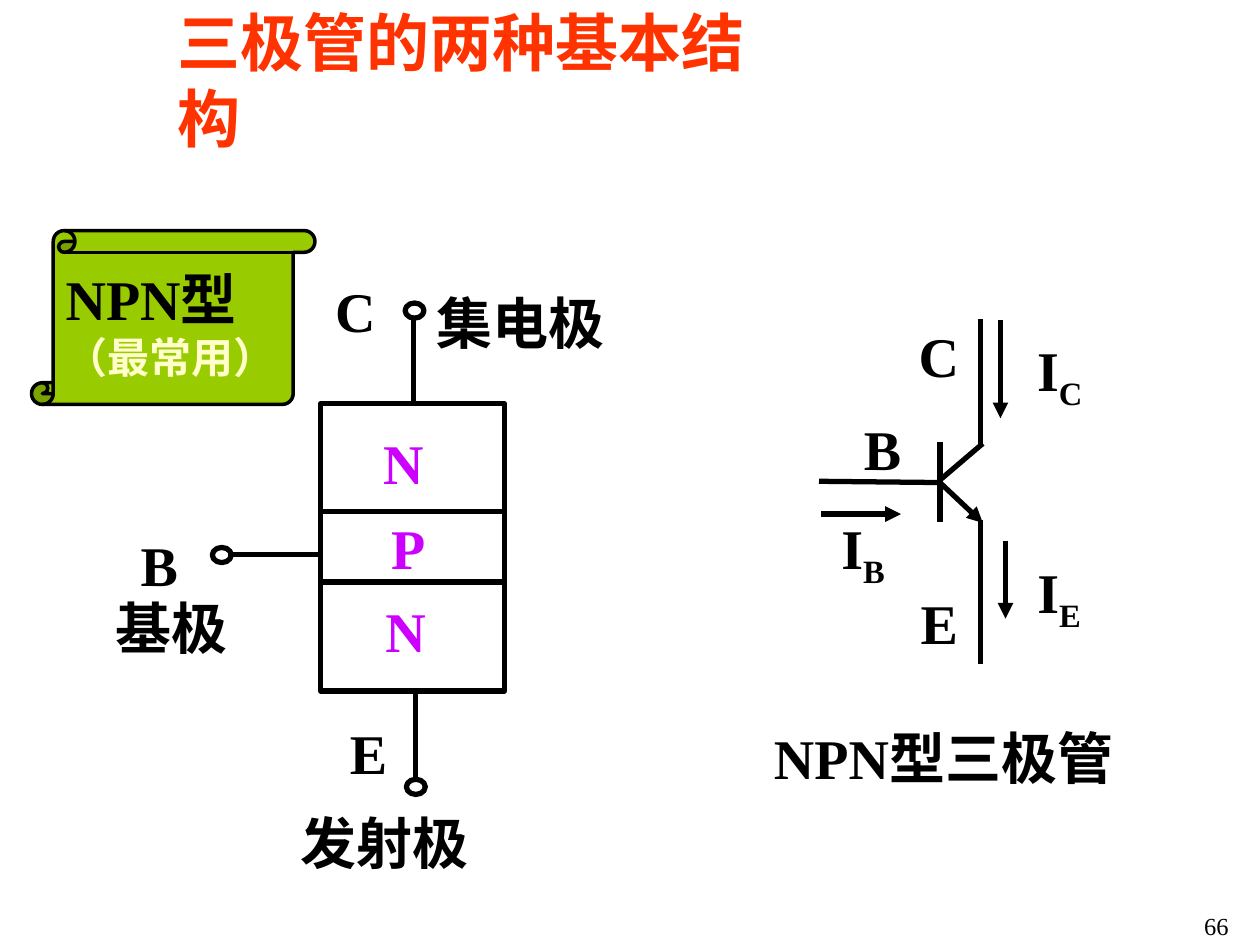
from pptx import Presentation
from pptx.dml.color import RGBColor
from pptx.enum.lang import MSO_LANGUAGE_ID
from pptx.enum.shapes import MSO_CONNECTOR, MSO_SHAPE
from pptx.enum.text import MSO_ANCHOR, MSO_AUTO_SIZE, PP_ALIGN
from pptx.oxml.ns import qn
from pptx.util import Inches, Pt
from lxml.etree import SubElement

COLORS = {
    "title": "FF3300",
    "ink": "000000",
    "region": "CC00FF",
    "scroll": "99CC00",
    "note": "FFFFCC",
}
FONT = "Times New Roman"
COLUMNS, ROWS = 100, 75


class TransistorSlide:
    def __init__(self, prs):
        self.unit_x = prs.slide_width / COLUMNS
        self.unit_y = prs.slide_height / ROWS
        self.s = prs.slides.add_slide(prs.slide_layouts[5])

    def x(self, columns):
        return round(columns * self.unit_x)

    def y(self, rows):
        return round(rows * self.unit_y)

    def box(self, left, top, width, height):
        return self.x(left), self.y(top), self.x(width), self.y(height)

    def color(self, name):
        return RGBColor.from_string(COLORS[name])

    def format_run(self, r, size, color, bold=True):
        r.font.name = FONT
        r.font.size = Pt(size)
        r.font.bold = bold
        r.font.color.rgb = self.color(color)
        r.font.language_id = MSO_LANGUAGE_ID.SIMPLIFIED_CHINESE

    def format_frame(self, tf, align, wrap=False):
        tf.word_wrap = wrap
        tf.auto_size = MSO_AUTO_SIZE.NONE
        tf.vertical_anchor = MSO_ANCHOR.MIDDLE
        tf.paragraphs[0].alignment = align

    def title(self, text, *place):
        sp = self.s.shapes.title
        sp.left, sp.top, sp.width, sp.height = self.box(*place)
        sp.text_frame.text = text
        self.format_frame(sp.text_frame, PP_ALIGN.LEFT)
        self.format_run(sp.text_frame.paragraphs[0].runs[0], 36, "title")

    def label(self, text, left, top, width, height=6.4, color="ink",
              size=32, bold=True, subscript=""):
        sp = self.s.shapes.add_textbox(*self.box(left, top, width, height))
        tf = sp.text_frame
        tf.text = text
        self.format_frame(tf, PP_ALIGN.CENTER)
        p = tf.paragraphs[0]
        if subscript:
            p.add_run().text = subscript
            p.runs[1]._r.get_or_add_rPr().set("baseline", "-25000")
        for r in p.runs:
            self.format_run(r, size, color, bold)

    def shape(self, kind, left, top, width, height, fill=None, weight=3):
        sp = self.s.shapes.add_shape(kind, *self.box(left, top, width, height))
        sp.shadow.inherit = False
        if fill:
            sp.fill.solid()
            sp.fill.fore_color.rgb = self.color(fill)
        else:
            sp.fill.background()
        sp.line.color.rgb = self.color("ink")
        sp.line.width = Pt(weight)
        return sp

    def terminal(self, center_x, center_y):
        width, height = 1.5, 1.2
        self.shape(MSO_SHAPE.OVAL, center_x - width / 2,
                   center_y - height / 2, width, height)

    def scroll(self, name, note, *place):
        sp = self.shape(MSO_SHAPE.VERTICAL_SCROLL, *place, fill="scroll", weight=2)
        tf = sp.text_frame
        tf.text = name
        self.format_frame(tf, PP_ALIGN.LEFT, wrap=True)
        p = tf.paragraphs[0]
        p.add_run().text = note
        self.format_run(p.runs[0], 32, "ink")
        self.format_run(p.runs[1], 24, "note")

    def wire(self, x1, y1, x2, y2, arrow=False):
        line = self.s.shapes.add_connector(
            MSO_CONNECTOR.STRAIGHT, self.x(x1), self.y(y1), self.x(x2), self.y(y2))
        line.line.color.rgb = self.color("ink")
        line.line.width = Pt(3)
        if arrow:
            SubElement(line.line._get_or_add_ln(), qn("a:tailEnd"), type="triangle")
        SubElement(line._element.spPr, qn("a:effectLst"))


def draw_structure(slide):
    edges = [32.05, 40.6, 46.2, 54.85]
    for top, bottom in zip(edges, edges[1:]):
        slide.shape(MSO_SHAPE.RECTANGLE, 25.45, top, 14.6, bottom - top)
    for wire in [(33, 61.9, 33, 55.1), (32.8, 32.1, 32.8, 25.3),
                 (25.6, 44, 18.1, 44)]:
        slide.wire(*wire)
    for center in [(33, 62.45), (32.9, 24.65), (17.6, 44.05)]:
        slide.terminal(*center)
    for text, left, top in [("N", 29.4, 33.5), ("P", 29.8, 40.2), ("N", 29.6, 46.8)]:
        slide.label(text, left, top, 5.2, color="region")
    for text, left, top, width in [
        ("B", 10.2, 41.6, 4.9), ("E", 26.8, 56.5, 4.9), ("C", 25.6, 21.4, 5.2),
        ("基极", 8.2, 46.6, 10.9), ("发射极", 22.9, 63.6, 15.3),
        ("集电极", 33.7, 22.4, 15.3),
    ]:
        slide.label(text, left, top, width)
    slide.scroll("NPN型", "（最常用）", 2.5, 18.3, 22.5, 13.8)


def draw_symbol(slide):
    for wire in [(65, 38.2, 74.8, 38.3), (74.6, 35.1, 74.6, 41.4),
                 (74.6, 38.1, 78, 35.2), (77.8, 25.3, 77.8, 35.4),
                 (77.8, 41.3, 77.8, 52.7)]:
        slide.wire(*wire)
    for arrow in [(74.6, 38.3, 78, 41.5), (65.2, 40.8, 71.5, 40.8),
                  (79.8, 42.9, 79.8, 49.1), (79.4, 25.4, 79.4, 33.2)]:
        slide.wire(*arrow, arrow=True)
    for text, left, top, width in [
        ("B", 67.6, 32.4, 4.9), ("E", 72.1, 46.2, 4.9), ("C", 71.9, 25, 5.2),
        ("NPN型三极管", 59.9, 56.9, 30),
    ]:
        slide.label(text, left, top, width)
    for electrode, left, top, width in [
        ("B", 65.8, 40.2, 5.4), ("E", 81, 43.7, 6.1), ("C", 79.6, 26.1, 9),
    ]:
        slide.label("I", left, top, width, 7.1, subscript=electrode)


def main():
    prs = Presentation()
    prs.slide_width, prs.slide_height = Inches(10), Inches(7.5)
    slide = TransistorSlide(prs)
    slide.title("三极管的两种基本结构", 13.1, 2.8, 52, 7)
    draw_structure(slide)
    draw_symbol(slide)
    slide.label("66", 86.9, 71.8, 19.3, 3.3, size=14, bold=False)
    prs.save("out.pptx")


if __name__ == "__main__":
    main()
